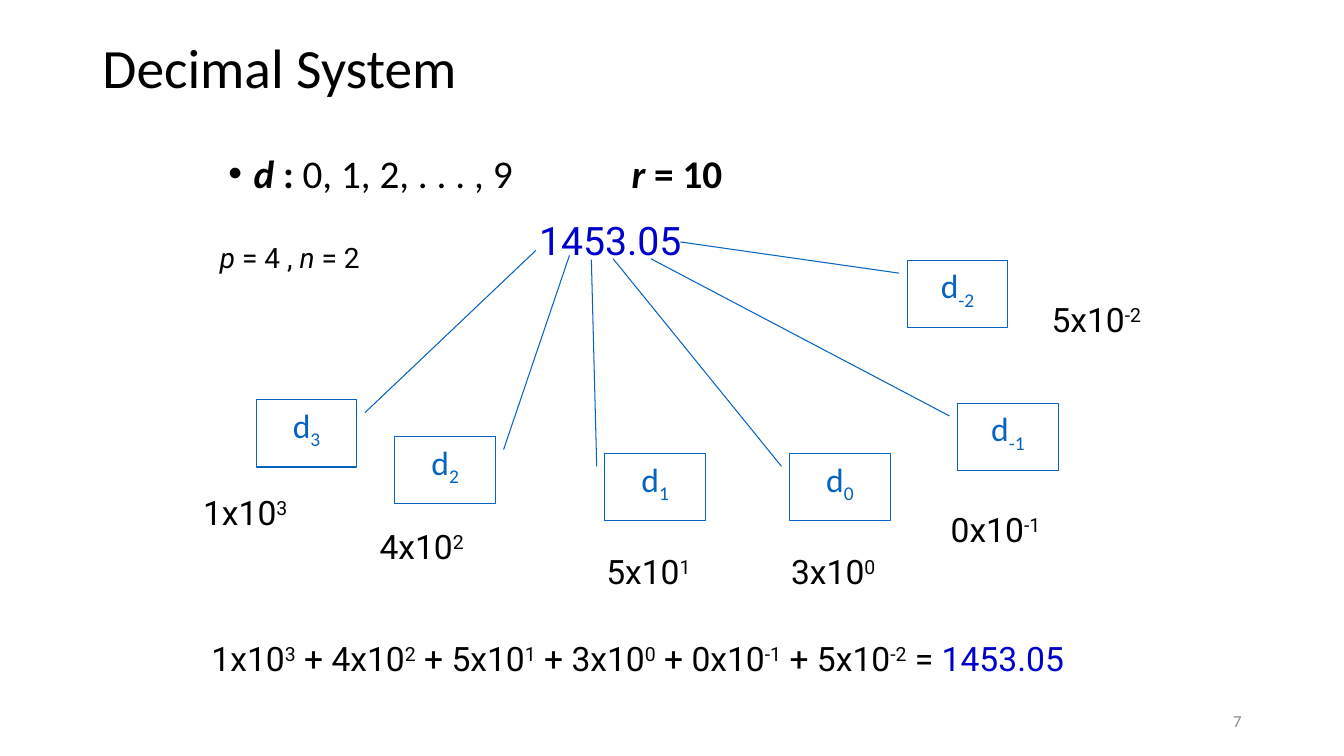
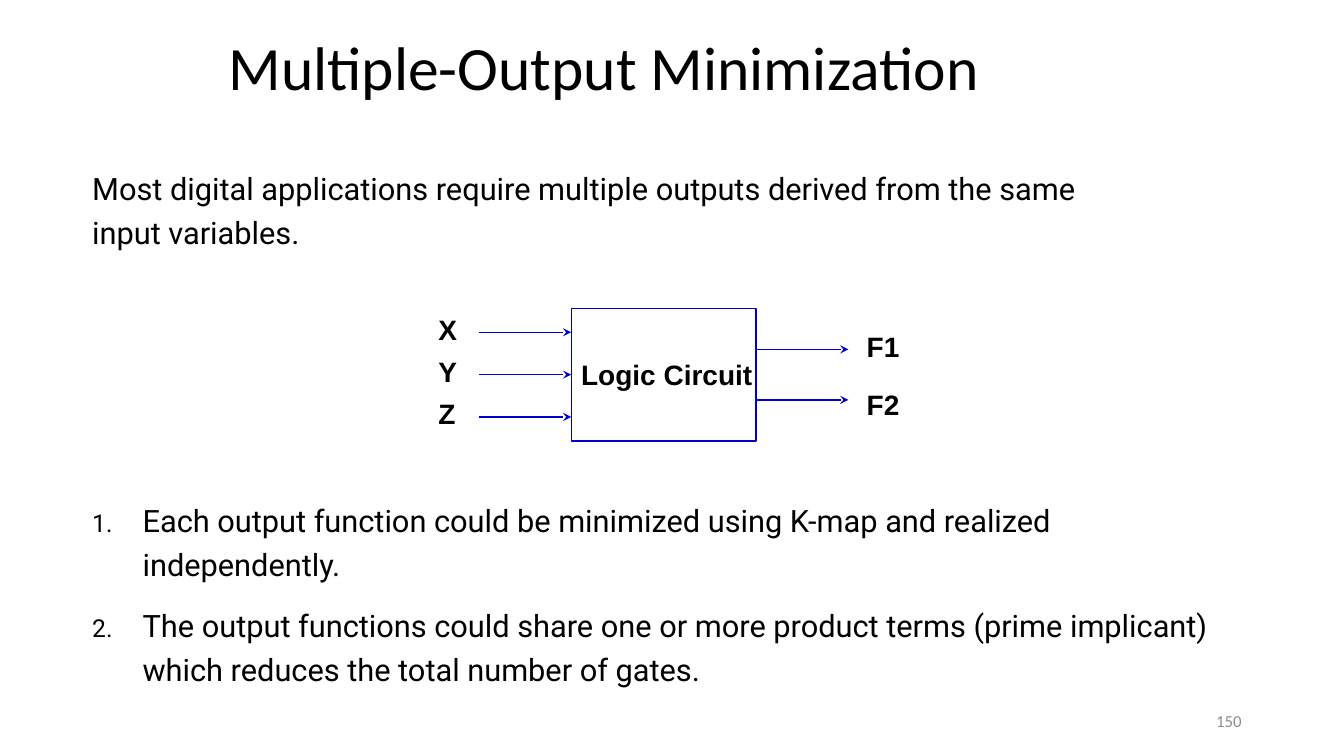
"""Build two slides on number systems and logic minimization."""
import lxml.etree
import pptx
import pptx.dml.color
import pptx.enum.shapes
import pptx.enum.text
import pptx.oxml.ns
import pptx.util

COLORS = {"text": "000000", "digit": "0000CC", "callout": "0563C1", "footer": "8C8C8C"}
COLUMNS, ROWS = 160, 90
UNIT = pptx.util.Inches(13.333) / COLUMNS
TITLE_ONLY = 5
LEFT, CENTER, RIGHT = (
    pptx.enum.text.PP_ALIGN.LEFT,
    pptx.enum.text.PP_ALIGN.CENTER,
    pptx.enum.text.PP_ALIGN.RIGHT,
)
TOP, MIDDLE, BOTTOM = (
    pptx.enum.text.MSO_ANCHOR.TOP,
    pptx.enum.text.MSO_ANCHOR.MIDDLE,
    pptx.enum.text.MSO_ANCHOR.BOTTOM,
)
FORMATS = {
    "title": {"name": "Calibri", "size": 39.6, "color": "text"},
    "large title": {"name": "Calibri", "size": 44, "color": "text"},
    "body": {"name": "Calibri", "size": 28, "color": "text"},
    "callout": {"name": "Calibri", "size": 24, "color": "callout"},
    "term": {"name": "Roboto", "size": 24, "color": "text"},
    "number": {"name": "Roboto", "size": 28, "color": "digit"},
    "note": {"name": "Roboto", "size": 20, "color": "text"},
    "prose": {"name": "Roboto", "size": 22, "color": "text"},
    "signal": {"name": "Arial", "size": 20, "color": "text", "bold": True},
    "footer": {"name": "Calibri", "size": 12, "color": "footer"},
}
BOLD, ITALIC = {"bold": True}, {"italic": True}
SUPERSCRIPT, SUBSCRIPT = {"baseline": 30}, {"baseline": -25}
CALLOUT_WIDTH, CALLOUT_HEIGHT = 12, 8
DIGITS = [
    ("1", "3", (30.5, 47.6), (23, 58), (63.8, 29.8), "right"),
    ("4", "2", (47, 52), (44, 62), (67.8, 30.4), "right"),
    ("5", "1", (72, 54), (71, 65), (70.4, 30.9), "left"),
    ("3", "0", (94, 54), (93, 65), (73, 30.8), "left"),
    ("0", "-1", (114, 48), (112, 60), (77.5, 30.8), "left"),
    ("5", "-2", (108, 31), (124, 35), (81, 28.8), "left"),
]


def units(*values):
    """Turn grid units into lengths."""
    return [pptx.util.Emu(round(value * UNIT)) for value in values]


def color(name):
    """Return a named colour."""
    return pptx.dml.color.RGBColor.from_string(COLORS[name])


def format_run(run, values):
    """Apply a dict of format values to a run."""
    for key, value in values.items():
        if key == "color":
            run.font.color.rgb = color(value)
        elif key == "baseline":
            run.font._element.set("baseline", str(value * 1000))
        else:
            setattr(run.font, key, pptx.util.Pt(value) if key == "size" else value)


def add_property(paragraph, tag, **attributes):
    """Append an element to the paragraph properties."""
    properties = paragraph._p.get_or_add_pPr()
    return lxml.etree.SubElement(properties, pptx.oxml.ns.qn(tag), attributes)


def set_indent(paragraph, inches):
    """Give a paragraph a hanging indent."""
    properties = paragraph._p.get_or_add_pPr()
    properties.set("marL", str(pptx.util.Inches(inches)))
    properties.set("indent", str(-pptx.util.Inches(inches)))


def write(shape, paragraphs, style, align=LEFT, anchor=TOP, spacing=None, wrap=True):
    """Fill a shape with paragraphs of (text, format) runs."""
    frame = shape.text_frame
    frame.word_wrap, frame.vertical_anchor = wrap, anchor
    for index, runs in enumerate(paragraphs):
        paragraph = frame.add_paragraph() if index else frame.paragraphs[0]
        paragraph.alignment, paragraph.line_spacing = align, spacing
        for text, values in runs:
            run = paragraph.add_run()
            run.text = text
            format_run(run, {**FORMATS[style], **values})
    return frame


def add_text(slide, box, paragraphs, style, **layout):
    """Add a text box at a grid position."""
    return write(slide.shapes.add_textbox(*units(*box)), paragraphs, style, **layout)


def add_outline(slide, kind, box, line_color, width):
    """Add an unfilled outlined shape."""
    shape = slide.shapes.add_shape(kind, *units(*box))
    shape.shadow.inherit = False
    shape.fill.background()
    shape.line.color.rgb = color(line_color)
    shape.line.width = pptx.util.Pt(width)
    return shape


def add_arrow(slide, left, right, y):
    """Add a horizontal arrow pointing right."""
    arrow = slide.shapes.add_connector(
        pptx.enum.shapes.MSO_CONNECTOR.STRAIGHT, *units(left, y, right, y)
    )
    arrow.line.color.rgb = color("digit")
    arrow.line.width = pptx.util.Pt(1)
    properties = arrow._element.spPr
    line = properties.find(pptx.oxml.ns.qn("a:ln"))
    lxml.etree.SubElement(line, pptx.oxml.ns.qn("a:tailEnd"), {"type": "stealth"})
    lxml.etree.SubElement(properties, pptx.oxml.ns.qn("a:effectLst"))
    return arrow


def add_slide(presentation, title, box, style, anchor, number):
    """Add a slide with its title and slide number."""
    slide = presentation.slides.add_slide(presentation.slide_layouts[TITLE_ONLY])
    placeholder = slide.shapes.title
    for name, value in zip(("left", "top", "width", "height"), units(*box)):
        setattr(placeholder, name, value)
    write(placeholder, [[(title, {})]], style, anchor=anchor, spacing=0.9)
    add_text(slide, (113, 83.4, 36, 4.8), [[(number, {})]], "footer", align=RIGHT, anchor=MIDDLE)
    return slide


def add_callout(slide, exponent, position, target, side):
    """Add a digit callout whose leader ends at the target."""
    left, top = position
    callout = add_outline(
        slide, pptx.enum.shapes.MSO_SHAPE.LINE_CALLOUT_1,
        (left, top, CALLOUT_WIDTH, CALLOUT_HEIGHT), "callout", 0.75,
    )
    leader = (
        0.19, 1.08 if side == "right" else -0.08,
        (target[1] - top) / CALLOUT_HEIGHT, (target[0] - left) / CALLOUT_WIDTH,
    )
    for index, value in enumerate(leader):
        callout.adjustments[index] = value
    write(callout, [[("d", {}), (exponent, SUBSCRIPT)]], "callout", align=CENTER)


def build_decimal(presentation):
    """Build the decimal system slide."""
    slide = add_slide(presentation, "Decimal System", (11, 4.8, 138, 7.2), "title", MIDDLE, "7")
    runs = [
        ("d", BOLD | ITALIC), (" :", BOLD), (" 0, 1, 2, . . . , 9\t", {}),
        ("r", BOLD | ITALIC), (" = 10", BOLD),
    ]
    body = add_text(slide, (26, 17.8, 108, 7), [runs], "body", spacing=0.9).paragraphs[0]
    set_indent(body, 0.25)
    add_property(body, "a:buFont", typeface="Arial")
    add_property(body, "a:buChar", char="•")
    tabs = add_property(body, "a:tabLst")
    stop = {"pos": str(pptx.util.Inches(4)), "algn": "l"}
    lxml.etree.SubElement(tabs, pptx.oxml.ns.qn("a:tab"), stop)
    equation = []
    for digit, exponent, position, label, target, side in DIGITS:
        add_callout(slide, exponent, position, target, side)
        term = [(f"{digit}x10", {}), (exponent, SUPERSCRIPT)]
        add_text(slide, (*label, 16, 6), [term], "term")
        equation += ([(" + ", {})] if equation else []) + term
    equation += [(" = ", {}), ("1453.05", {"color": "digit"})]
    add_text(slide, (24, 73, 112, 8.5), [equation], "term", spacing=1.5)
    note = [("p ", ITALIC), ("= 4 , ", {}), ("n ", ITALIC), ("= 2", {})]
    add_text(slide, (25, 28, 28.2, 5.2), [note], "note")
    add_text(slide, (63, 25.2, 21, 6.8), [[("1453.05", {})]], "number")


def build_minimization(presentation):
    """Build the multiple-output minimization slide."""
    slide = add_slide(
        presentation, "Multiple-Output Minimization", (26, 3.6, 108, 9.4), "large title", BOTTOM, "150"
    )
    circuit = add_outline(
        slide, pptx.enum.shapes.MSO_SHAPE.RECTANGLE, (68, 36.7, 22, 15.8), "digit", 1
    )
    frame = write(circuit, [[("Logic Circuit", {})]], "signal", anchor=MIDDLE, wrap=False)
    frame.margin_right = 0
    for index, name in enumerate("XYZ"):
        y = 44.6 + (index - 1) * 5.04
        arrow = add_arrow(slide, 57, 68, y)
        if name == "Y":
            arrow.end_connect(circuit, 1)
        add_text(slide, (51, y - 3, 5, 5.3), [[(name, {})]], "signal")
    for name, y, label_top in (("F1", 41.6, 38.6), ("F2", 47.6, 45.6)):
        add_arrow(slide, 90, 101, y)
        add_text(slide, (102, label_top, 7, 5.3), [[(name, {})]], "signal")
    introduction = (
        "Most digital applications require multiple outputs derived from the same input variables."
    )
    add_text(slide, (9.8, 18.7, 124.2, 11.9), [[(introduction, {})]], "prose", spacing=1.2)
    points = [
        "Each output function could be minimized using K-map and realized independently.",
        "The output functions could share one or more product terms (prime implicant) "
        "which reduces the total number of gates.",
    ]
    frame = add_text(
        slide, (9.8, 58.2, 140, 24.6), [[(point, {})] for point in points], "prose", spacing=1.2
    )
    for index, paragraph in enumerate(frame.paragraphs):
        set_indent(paragraph, 0.5)
        add_property(paragraph, "a:buSzPct", val="80000")
        add_property(paragraph, "a:buFont", typeface="+mj-lt")
        add_property(paragraph, "a:buAutoNum", type="arabicPeriod")
        if index:
            paragraph.space_before = pptx.util.Pt(12)


def main():
    """Build and save the presentation."""
    presentation = pptx.Presentation()
    presentation.slide_width, presentation.slide_height = units(COLUMNS, ROWS)
    build_decimal(presentation)
    build_minimization(presentation)
    presentation.save("out.pptx")


if __name__ == "__main__":
    main()
